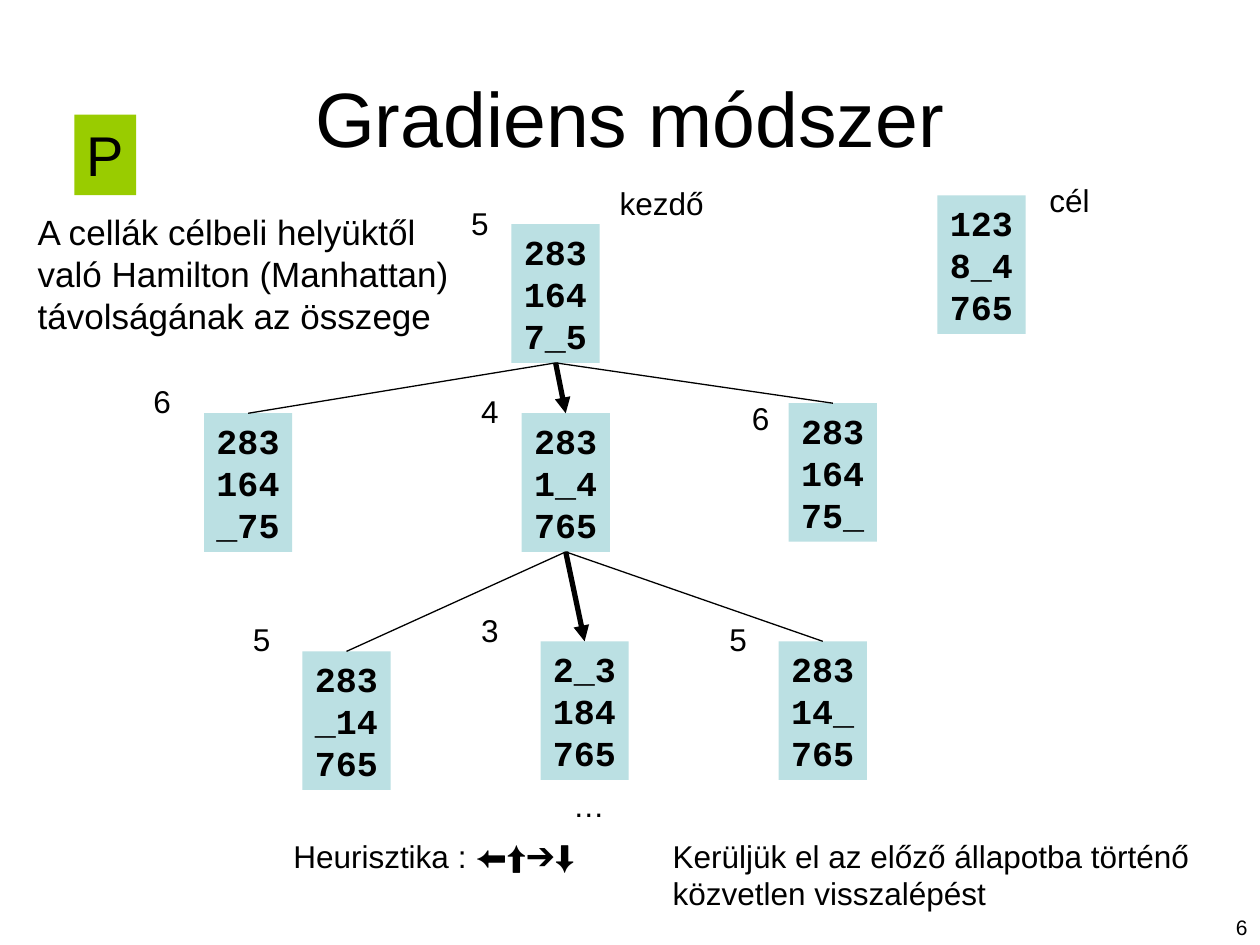
import pptx
import pptx.dml.color
import pptx.enum.dml
import pptx.enum.shapes
import pptx.enum.text
import pptx.oxml.ns
import pptx.util
from lxml import etree
from pptx.util import Inches

ALIGN = pptx.enum.text.PP_ALIGN
ANCHOR = pptx.enum.text.MSO_ANCHOR
AUTO_SIZE = pptx.enum.text.MSO_AUTO_SIZE
BLACK, TILE_BLUE, BADGE_GREEN = "000000", "BBE0E3", "99CC00"
TILE_WIDTH, TILE_HEIGHT = 0.7, 1.1


def color(hex_string):
    return pptx.dml.color.RGBColor.from_string(hex_string)


def add_text(text, left, top, width, height, size=18, fill=None, font="Arial", bold=False,
             align=ALIGN.LEFT, anchor=ANCHOR.TOP, wrap=False, grow=True):
    box = [Inches(value) for value in (left, top, width, height)]
    if fill:
        shape = slide.shapes.add_shape(pptx.enum.shapes.MSO_SHAPE.RECTANGLE, *box)
        shape.shadow.inherit = False
        shape.fill.solid()
        shape.fill.fore_color.rgb = color(fill)
        shape.line.fill.background()
    else:
        shape = slide.shapes.add_textbox(*box)
    frame = shape.text_frame
    frame.text = text
    frame_format = {
        "word_wrap": wrap,
        "vertical_anchor": anchor,
        "auto_size": AUTO_SIZE.SHAPE_TO_FIT_TEXT if grow else AUTO_SIZE.NONE,
    }
    for name, value in frame_format.items():
        setattr(frame, name, value)
    font_format = {"name": font, "size": pptx.util.Pt(size), "bold": bold}
    for paragraph in frame.paragraphs:
        paragraph.alignment = align
        for run in paragraph.runs:
            for name, value in font_format.items():
                setattr(run.font, name, value)
            run.font.color.rgb = color(BLACK)
    return shape


presentation = pptx.Presentation()
presentation.slide_width = Inches(10)
presentation.slide_height = Inches(7.5)
slide = presentation.slides.add_slide(presentation.slide_layouts[6])

# Title and badge
add_text("Gradiens módszer", 0.5, 0.3, 9, 1.25, size=44, align=ALIGN.CENTER,
         anchor=ANCHOR.MIDDLE, wrap=True, grow=False)
add_text("P", 0.59, 0.91, 0.49, 0.64, size=32, fill=BADGE_GREEN)

# Puzzle states: name, rows, left, top
states = [
    ("start", "283\n164\n7_5", 4.06, 1.78),
    ("left", "283\n164\n_75", 1.62, 3.28),
    ("up", "283\n1_4\n765", 4.14, 3.28),
    ("right", "283\n164\n75_", 6.26, 3.2),
    ("goal", "123\n8_4\n765", 7.44, 1.55),
    ("up left", "283\n_14\n765", 2.4, 5.17),
    ("up up", "2_3\n184\n765", 4.29, 5.09),
    ("up right", "283\n14_\n765", 6.18, 5.09),
]
tiles = {
    name: add_text(rows, left, top, TILE_WIDTH, TILE_HEIGHT, size=20,
                   fill=TILE_BLUE, font="Courier New", bold=True)
    for name, rows, left, top in states
}

# Search tree edges: parent, child, whether the step is chosen
edges = [
    ("start", "left", False),
    ("start", "up", True),
    ("start", "right", False),
    ("up", "up left", False),
    ("up", "up up", True),
    ("up", "up right", False),
]
for parent, child, chosen in edges:
    edge = slide.shapes.add_connector(pptx.enum.shapes.MSO_CONNECTOR.STRAIGHT, 0, 0, 0, 0)
    edge.begin_connect(tiles[parent], 2)
    edge.end_connect(tiles[child], 0)
    edge.line.color.rgb = color(BLACK)
    edge.line.width = pptx.util.Pt(3 if chosen else 0.75)
    if chosen:
        line_xml = edge.line._get_or_add_ln()
        etree.SubElement(line_xml, pptx.oxml.ns.qn("a:tailEnd"), type="triangle")
    etree.SubElement(edge._element.spPr, pptx.oxml.ns.qn("a:effectLst"))

# Heuristic values beside the states
values = [
    ("5", 3.64, 1.57),
    ("6", 1.12, 2.98),
    ("4", 3.72, 3.06),
    ("6", 5.87, 3.12),
    ("5", 1.91, 4.87),
    ("3", 3.72, 4.8),
    ("5", 5.69, 4.87),
]
for value, left, top in values:
    add_text(value, left, top, 0.34, 0.4)

# Captions
add_text("A cellák célbeli helyüktől való Hamilton (Manhattan) távolságának az összege",
         0.2, 1.62, 3.55, 1.1, size=20, wrap=True)
add_text("kezdő", 4.82, 1.41, 0.9, 0.4, wrap=True)
add_text("cél", 8.23, 1.39, 0.52, 0.4)
add_text("…", 4.45, 6.19, 0.45, 0.4)
add_text("Heurisztika : ⬅⬆➔⬇", 2.23, 6.59, 2.64, 0.4)
add_text("Kerüljük el az előző állapotba történő közvetlen visszalépést",
         5.24, 6.59, 4.49, 0.7, wrap=True)

# Slide number
add_text("6", 7.67, 7.21, 2.33, 0.28, size=12, align=ALIGN.RIGHT, wrap=True, grow=False)

presentation.save("out.pptx")
